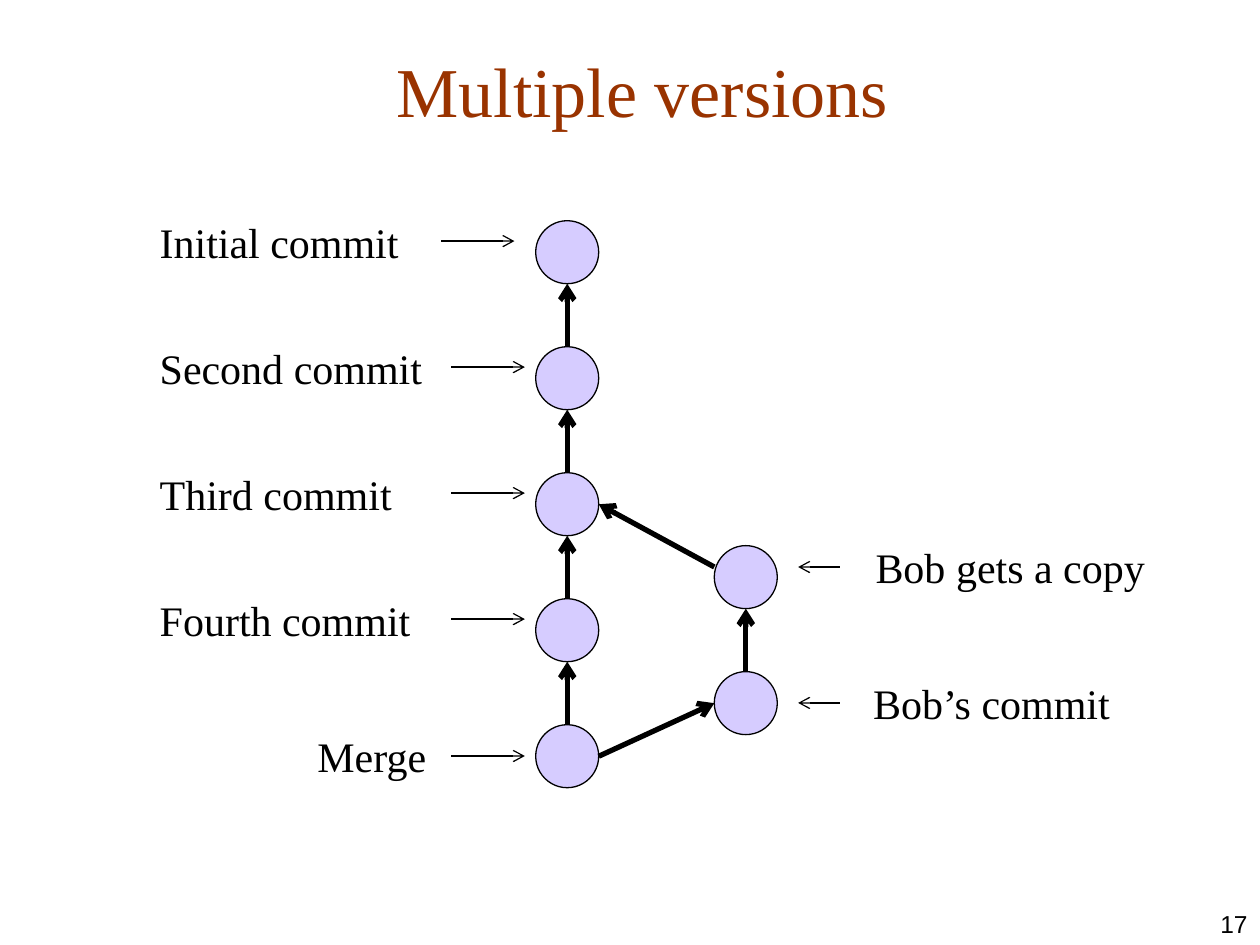
import pptx
import pptx.util
import pptx.dml.color
import pptx.enum.shapes
import pptx.enum.text
import pptx.oxml

Cm = pptx.util.Cm
Pt = pptx.util.Pt
ALIGN = pptx.enum.text.PP_ALIGN
ANCHOR = pptx.enum.text.MSO_ANCHOR
SERIF = "Times New Roman"
NS = 'xmlns:a="http://schemas.openxmlformats.org/drawingml/2006/main"'

# Lengths in centimetres
DOT = 1.27
STEP = 2 * DOT
TALL = 1.27  # label height
MID = 0.63   # from label top to its pointer


def color(text):
    return pptx.dml.color.RGBColor.from_string(text)


def write(slide, box, text, size=24, font=SERIF, ink="000000",
          align=ALIGN.LEFT, anchor=ANCHOR.TOP, wrap=True):
    frame = slide.shapes.add_textbox(*map(Cm, box)).text_frame
    frame.text = text
    frame.word_wrap = wrap
    frame.vertical_anchor = anchor
    line = frame.paragraphs[0]
    line.alignment = align
    face = line.runs[0].font
    face.size = Pt(size)
    face.name = font
    face.color.rgb = color(ink)


def arrow(slide, start, end, width=0.75):
    link = slide.shapes.add_connector(
        pptx.enum.shapes.MSO_CONNECTOR.STRAIGHT, *map(Cm, start + end))
    link.line.width = Pt(width)
    link.line.color.rgb = color("000000")
    link.line._get_or_add_ln().append(
        pptx.oxml.parse_xml(f'<a:tailEnd {NS} type="arrow"/>'))
    link._element.spPr.append(pptx.oxml.parse_xml(f"<a:effectLst {NS}/>"))


def chain(slide, left, top, count):
    """Column of commits, each pointing up to its parent."""
    for row in range(count):
        y = top + row * STEP
        dot = slide.shapes.add_shape(
            pptx.enum.shapes.MSO_SHAPE.OVAL, Cm(left), Cm(y), Cm(DOT), Cm(DOT))
        dot.shadow.inherit = False
        dot.fill.solid()
        dot.fill.fore_color.rgb = color("D6CCFF")
        dot.line.color.rgb = color("000000")
        dot.line.width = Pt(0.75)
        if row:
            x = left + DOT / 2
            arrow(slide, (x, y), (x, y - STEP + DOT), 3)


def trunk(slide, left, top):
    """Main line of commits, with labels on the left."""
    dots = left + 7.83
    # Label, left offset, width, offset from dot top, pointer offset
    labels = [
        ("Initial commit", 0, 5.92, -0.22, 5.92),
        ("Second commit", 0, 6.15, -0.22, 6.13),
        ("Third commit", 0, 6.15, -0.22, 6.13),
        ("Fourth commit", 0, 6.15, -0.22, 6.13),
        ("Merge", 3.18, 2.97, 0, 6.13),
    ]
    chain(slide, dots, top, len(labels))
    for row, (text, dx, wide, dy, tip) in enumerate(labels):
        y = top + row * STEP + dy
        write(slide, (left + dx, y, wide, TALL), text)
        arrow(slide, (left + tip, y + MID), (left + tip + 1.48, y + MID))


def branch(slide, left, top):
    """Bob's line of commits, with labels on the right."""
    labels = [("Bob gets a copy", 3.0, 5.94, -0.2),
              ("Bob’s commit", 2.95, 5.33, 0)]
    chain(slide, left, top, len(labels))
    for row, (text, dx, wide, dy) in enumerate(labels):
        y = top + row * STEP + dy
        write(slide, (left + dx, y, wide, TALL), text, wrap=False)
        arrow(slide, (left + 2.53, y + MID), (left + 1.69, y + MID))


def joins(slide, trunk_x, trunk_y, branch_x, branch_y):
    """Fork from the third commit, and merge back."""
    side = trunk_x + DOT
    half = DOT / 2
    arrow(slide, (branch_x, branch_y + 0.43),
          (side, trunk_y + 2 * STEP + half), 3)
    arrow(slide, (side, trunk_y + 4 * STEP + half),
          (branch_x, branch_y + STEP + half), 3)


def main():
    deck = pptx.Presentation()
    deck.slide_width = Cm(25.4)
    deck.slide_height = Cm(19.05)
    slide = deck.slides.add_slide(deck.slide_layouts[6])

    # Title and page number
    write(slide, (2.13, 0.43, 21.64, 2.34), "Multiple versions", 40,
          ink="993300", align=ALIGN.CENTER, anchor=ANCHOR.BOTTOM)
    write(slide, (20.12, 17.78, 5.28, 1.27), "17", 14, "Arial",
          align=ALIGN.RIGHT, anchor=ANCHOR.BOTTOM)

    # Commit graph
    trunk(slide, 2.97, 4.45)
    branch(slide, 14.4, 11)
    joins(slide, 10.8, 4.45, 14.4, 11)

    deck.save("out.pptx")


if __name__ == "__main__":
    main()
